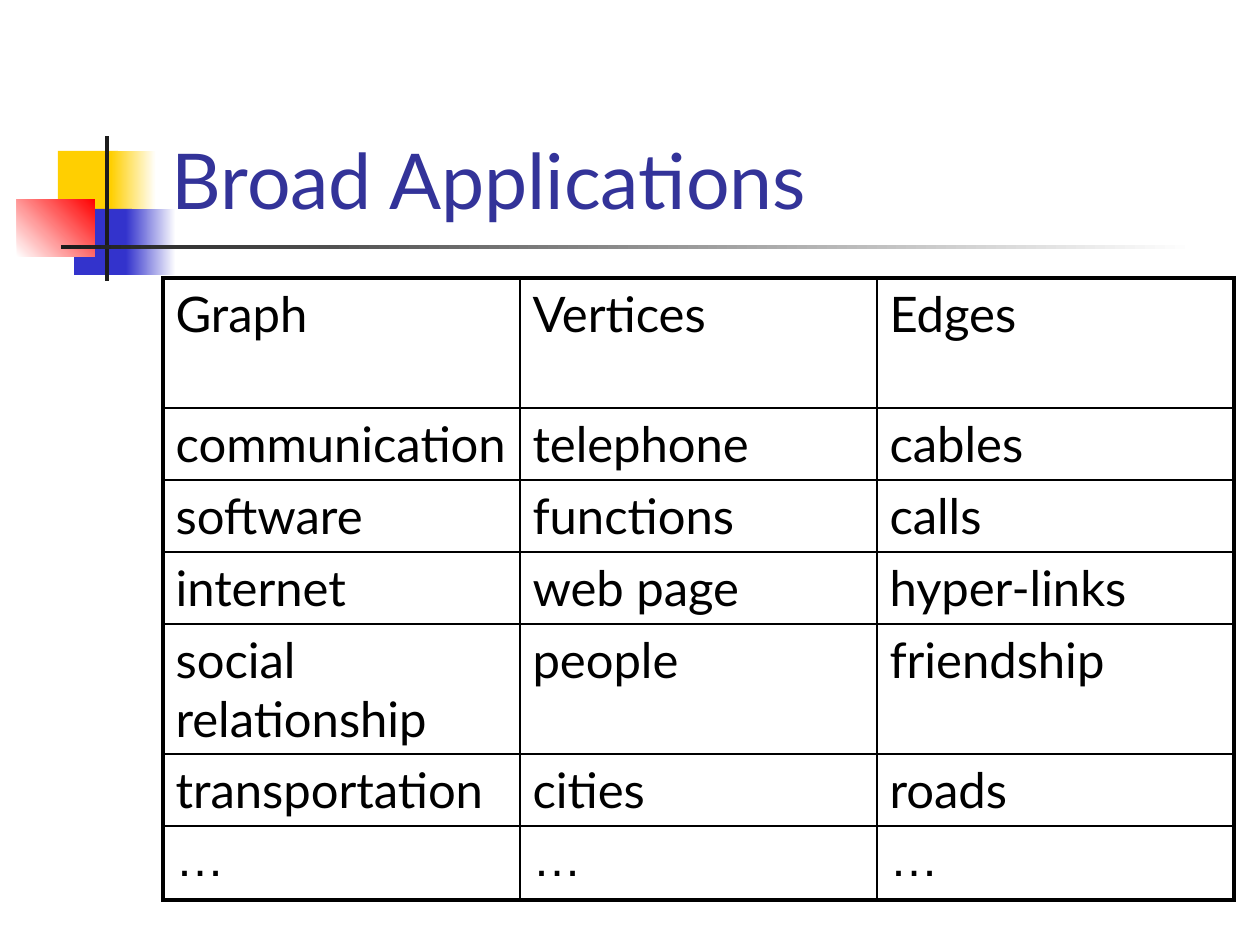
from lxml.etree import SubElement
from pptx import Presentation
from pptx.dml.color import RGBColor
from pptx.enum.shapes import MSO_SHAPE as Shape
from pptx.enum.text import MSO_ANCHOR as Anchor, PP_ALIGN as Align
from pptx.oxml.ns import qn
from pptx.util import Pt

PX = 914400 // 126


def color(code):
    return RGBColor.from_string(code)


def edge(cell, side, width):
    """Draw one black border of a cell; side is L, R, T or B."""
    line = SubElement(cell._tc.get_or_add_tcPr(), qn(f"a:ln{side}"), w=str(Pt(width)))
    fill = SubElement(line, qn("a:solidFill"))
    SubElement(fill, qn("a:srgbClr"), val="000000")


deck = Presentation()
deck.slide_width, deck.slide_height = 1260 * PX, 945 * PX
slide = deck.slides.add_slide(deck.slide_layouts[5])

# Decoration: place, colours (two make a gradient), gradient angle
blocks = [
    ((58, 151, 60, 66), ["FFCF01"], 0),
    ((111, 151, 45, 66), ["FFCF01", "FFFFFF"], 0),
    ((74, 209, 58, 66), ["3333CC"], 0),
    ((126, 209, 50, 66), ["3333CC", "FFFFFF"], 0),
    ((17, 199, 78, 58), ["FFFFFF", "FF0000"], 45),
    ((105, 136, 4, 145), ["1C1C1C"], 0),
    ((61, 245, 1134, 4), ["1C1C1C", "FFFFFF"], 0),
]
for place, shades, angle in blocks:
    block = slide.shapes.add_shape(Shape.RECTANGLE, *[n * PX for n in place])
    block.shadow.inherit = False
    block.line.fill.background()
    if len(shades) == 1:
        block.fill.solid()
        block.fill.fore_color.rgb = color(shades[0])
    else:
        block.fill.gradient()
        block.fill.gradient_angle = angle
        for stop, shade in zip(block.fill.gradient_stops, shades):
            stop.color.rgb = color(shade)

# Title, in front of the decoration
title = slide.shapes.title
slide.shapes._spTree.append(title._element)
title.left, title.top, title.width, title.height = [n * PX for n in (159, 29, 1074, 202)]
frame = title.text_frame
frame.text = "Broad Applications"
frame.vertical_anchor = Anchor.BOTTOM
head = frame.paragraphs[0]
head.alignment = Align.LEFT
font = head.runs[0].font
font.name, font.size, font.color.rgb = "Lato", Pt(44), color("333399")

# Table
rows = [
    ("Graph", "Vertices", "Edges"),
    ("communication", "telephone", "cables"),
    ("software", "functions", "calls"),
    ("internet", "web page", "hyper-links"),
    ("social relationship", "people", "friendship"),
    ("transportation", "cities", "roads"),
    ("…", "…", "…"),
]
tall = [130, 72, 72, 72, 130, 72, 74]
table = slide.shapes.add_table(
    len(rows), 3, 163 * PX, 278 * PX, 1071 * PX, sum(tall) * PX).table
table.first_row = table.horz_banding = False
for col in table.columns:
    col.width = 357 * PX
last = len(rows) - 1
for r, row in enumerate(rows):
    table.rows[r].height = tall[r] * PX
    for c, word in enumerate(row):
        cell = table.cell(r, c)
        cell.text = word
        font = cell.text_frame.paragraphs[0].runs[0].font
        font.name = "Arial" if r == last else "Lato"
        font.size, font.color.rgb = Pt(28), color("000000")
        outer = {"L": c == 0, "R": c == 2, "T": r == 0, "B": r == last}
        for side, thick in outer.items():
            edge(cell, side, 2.25 if thick else 1)
        cell.fill.background()

deck.save("out.pptx")
